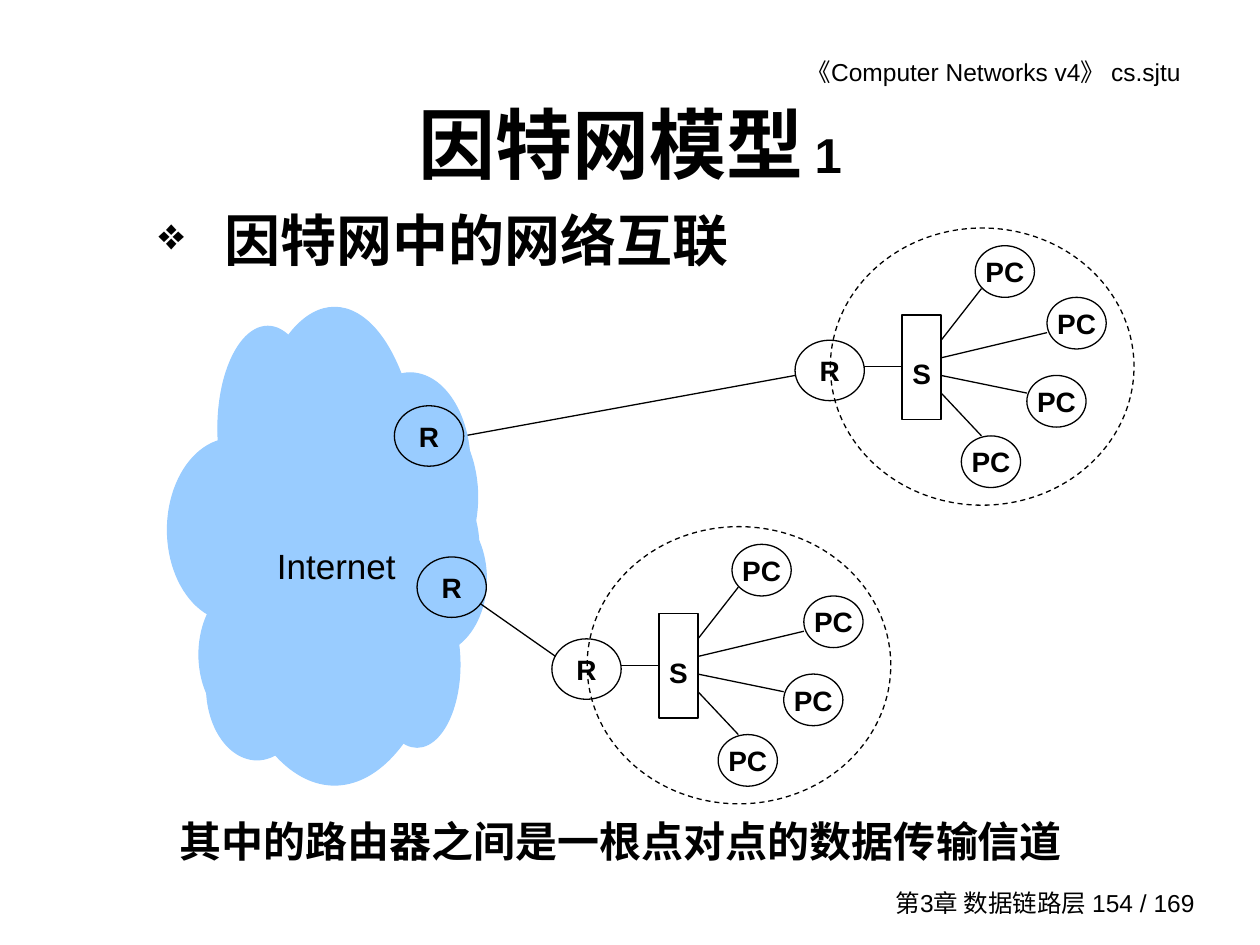
from lxml import etree
from pptx import Presentation
from pptx.dml.color import RGBColor
from pptx.enum.dml import MSO_LINE
from pptx.enum.shapes import MSO_CONNECTOR, MSO_SHAPE
from pptx.enum.text import MSO_ANCHOR, PP_ALIGN
from pptx.oxml.ns import qn
from pptx.util import Inches, Pt

BLACK = RGBColor(0x00, 0x00, 0x00)
SKY = RGBColor(0x99, 0xCC, 0xFF)
OVAL, RECT = MSO_SHAPE.OVAL, MSO_SHAPE.RECTANGLE
STRAIGHT = MSO_CONNECTOR.STRAIGHT
DASH = MSO_LINE.DASH
TOP, MID = MSO_ANCHOR.TOP, MSO_ANCHOR.MIDDLE
LEFT, MIDDLE, RIGHT = PP_ALIGN.LEFT, PP_ALIGN.CENTER, PP_ALIGN.RIGHT
LATIN, HAN = "Arial", "Noto Sans CJK SC"

HUB = (0.55, 0.48)     # router size
HOST = (0.47, 0.41)    # PC size
LABEL = {"size": Pt(16), "bold": True}


def write(shape, runs, align=LEFT, anchor=TOP, wrap=True,
          pad=(0.1, 0.05, 0.1, 0.05), bullet=None):
    """Fill a shape with one paragraph of (text, font, format) runs."""
    frame = shape.text_frame
    frame.word_wrap = wrap
    frame.vertical_anchor = anchor
    for side, gap in zip(("left", "top", "right", "bottom"), pad):
        setattr(frame, "margin_" + side, Inches(gap))
    para = frame.paragraphs[0]
    para.alignment = align
    if bullet:
        props = para._p.get_or_add_pPr()
        props.set("marL", str(Inches(0.52)))
        props.set("indent", str(-Inches(0.52)))
        etree.SubElement(props, qn("a:buSzPct")).set("val", "80000")
        etree.SubElement(props, qn("a:buChar")).set("char", bullet)
    for text, name, style in runs:
        run = para.add_run()
        run.text = text
        run.font.color.rgb = BLACK
        for key, value in {"name": name, **style}.items():
            setattr(run.font, key, value)
        east = etree.SubElement(run._r.get_or_add_rPr(), qn("a:ea"))
        east.set("typeface", HAN)


def add_text(slide, box, runs, **style):
    shape = slide.shapes.add_textbox(*map(Inches, box))
    write(shape, runs, **style)


def add_node(slide, kind, box, fill=None, line=BLACK, dash=None):
    node = slide.shapes.add_shape(kind, *map(Inches, box))
    node.shadow.inherit = False
    if fill is None:
        node.fill.background()
    else:
        node.fill.solid()
        node.fill.fore_color.rgb = fill
    node.line.color.rgb = line
    node.line.width = Pt(0.75)
    if dash:
        node.line.dash_style = dash
    return node


def add_link(slide, start, end):
    link = slide.shapes.add_connector(STRAIGHT, *map(Inches, start + end))
    link.line.color.rgb = BLACK
    link.line.width = Pt(0.75)
    etree.SubElement(link._element.spPr, qn("a:effectLst"))


def add_router(slide, x, y):
    node = add_node(slide, OVAL, (x, y, *HUB))
    write(node, [("R", LATIN, LABEL)], align=MIDDLE, anchor=MID, wrap=False)


def add_cloud(slide, x, y):
    """Internet cloud: round lobes, most of them doubled a little lower."""
    lobes = [  # left, top, width, height, doubled
        (0.40, 0.15, 0.79, 1.62, False),
        (0.00, 1.04, 1.04, 1.45, False),
        (0.25, 2.18, 0.80, 1.15, True),
        (0.35, 0.15, 1.83, 3.38, True),
        (1.45, 0.52, 0.95, 1.45, True),
        (1.61, 1.30, 0.86, 1.19, True),
        (1.58, 1.92, 0.68, 1.31, True),
        (0.65, 0.00, 1.35, 2.80, False),
    ]
    for left, top, wide, high, twin in lobes:
        steps = [(0.06, 0.26), (0, 0)] if twin else [(0, 0)]
        for dx, dy in steps:
            box = (x + left + dx, y + top + dy, wide, high)
            add_node(slide, OVAL, box, fill=SKY, line=SKY)
    add_text(slide, (x + 0.65, y + 1.83, 1.38, 0.42),
             [("Internet", LATIN, {"size": Pt(20)})], align=MIDDLE)
    for left, top in [(1.80, 0.78), (1.98, 1.98)]:
        add_router(slide, x + left, y + top)


def add_lan(slide, x, y):
    """Local network: dashed ring, switch, four PCs and an edge router."""
    add_node(slide, OVAL, (x, y, 2.41, 2.2), dash=DASH)
    switch = add_node(slide, RECT, (x + 0.57, y + 0.69, 0.31, 0.83))
    write(switch, [("S", LATIN, LABEL)], align=MIDDLE, anchor=MID,
          pad=(0.02, 0.1, 0.02, 0))
    add_link(slide, (x + 0.27, y + 1.1), (x + 0.57, y + 1.1))
    hosts = [  # PC left, top, then the far end of its link
        (1.15, 0.14, 1.20, 0.48),
        (1.72, 0.55, 1.72, 0.83),
        (1.56, 1.17, 1.56, 1.31),
        (1.04, 1.65, 1.20, 1.65),
    ]
    for i, (left, top, tip, drop) in enumerate(hosts):
        host = add_node(slide, OVAL, (x + left, y + top, *HOST))
        write(host, [("PC", LATIN, LABEL)], align=MIDDLE, anchor=MID,
              wrap=False, pad=(0, 0, 0, 0))
        add_link(slide, (x + 0.88, y + 0.89 + 0.14 * i), (x + tip, y + drop))
    add_router(slide, x - 0.28, y + 0.89)


def add_texts(slide):
    small = {"size": Pt(14)}
    # Running header and page footer
    add_text(slide, (5.27, 0.4, 4.31, 0.34),
             [("《Computer Networks v4》 cs.sjtu", LATIN, small)],
             align=RIGHT, pad=(0.1, 0.05, 0.21, 0.05))
    add_text(slide, (6.94, 7, 2.64, 0.33),
             [("第3章 数据链路层 154 / 169", LATIN, small)],
             align=RIGHT, anchor=MID)
    # Title, bullet and closing remark
    add_text(slide, (0.75, 0.67, 8.5, 0.92),
             [("因特网模型", HAN, {"size": Pt(44), "bold": True}),
              (" 1", LATIN, {"size": Pt(28), "bold": True})],
             align=MIDDLE, anchor=MID)
    add_text(slide, (1.16, 1.58, 6.72, 0.83),
             [("因特网中的网络互联", LATIN, {"size": Pt(32), "bold": True})],
             bullet="❖")
    add_text(slide, (1.33, 6.42, 7.29, 0.5),
             [("其中的路由器之间是一根点对点的数据传输信道", HAN,
               {"size": Pt(24), "bold": True})])


def main():
    deck = Presentation()
    deck.slide_width, deck.slide_height = Inches(10), Inches(7.5)
    slide = deck.slides.add_slide(deck.slide_layouts[6])
    add_texts(slide)
    # Long link runs behind the cloud
    add_link(slide, (3.68, 3.46), (6.31, 2.98))
    add_cloud(slide, 1.33, 2.44)
    for x, y in [(6.59, 1.81), (4.66, 4.18)]:
        add_lan(slide, x, y)
    add_link(slide, (3.81, 4.79), (4.41, 5.21))
    deck.save("out.pptx")


if __name__ == "__main__":
    main()
